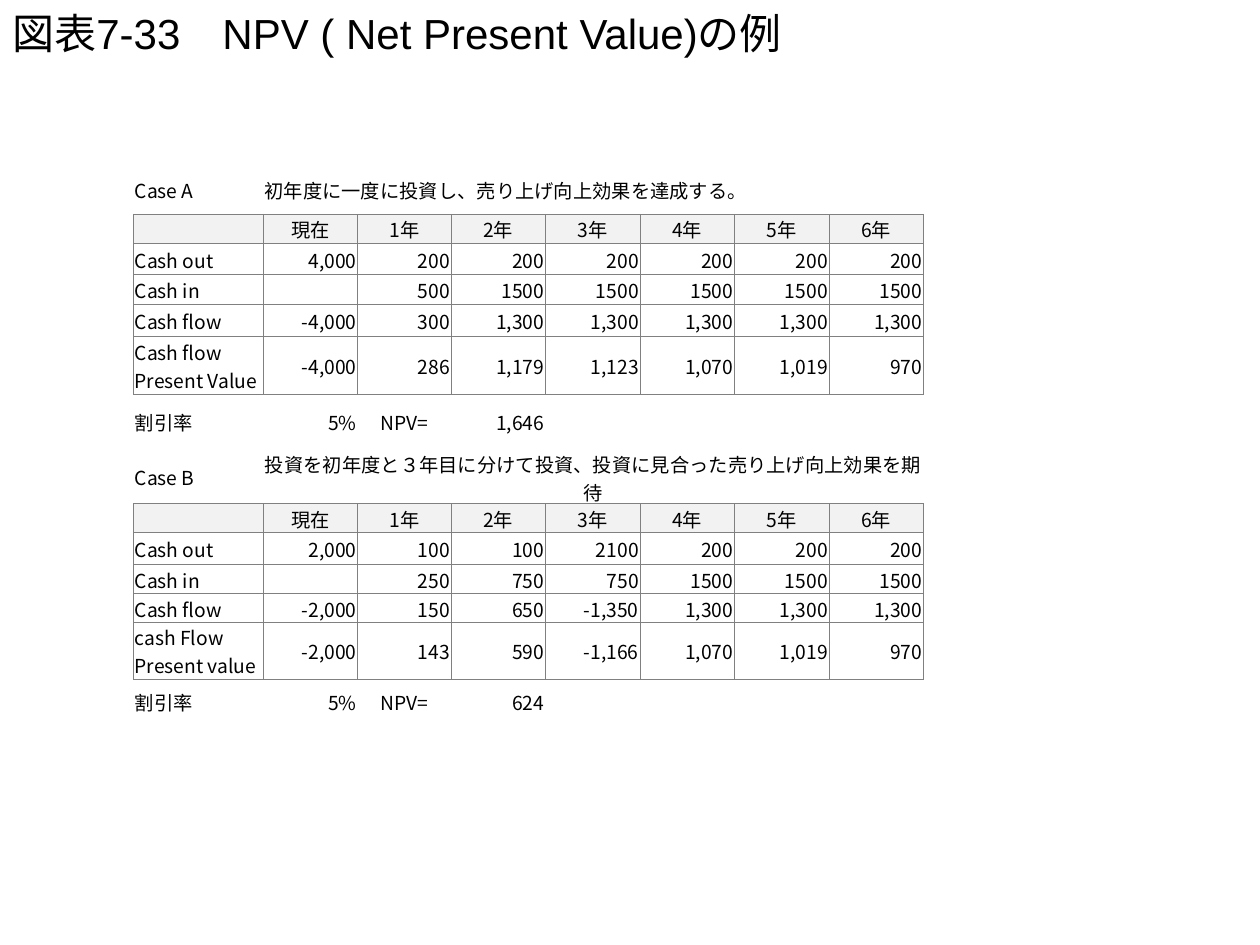
from dataclasses import dataclass

from lxml.etree import SubElement
from pptx import Presentation
from pptx.dml.color import RGBColor
from pptx.enum.text import MSO_ANCHOR as ANCHOR, PP_ALIGN as ALIGN
from pptx.oxml.ns import qn
from pptx.util import Inches, Pt

BLACK = RGBColor(0x00, 0x00, 0x00)
HEADER = RGBColor(0xF2, 0xF2, 0xF2)
GRID = RGBColor(0x80, 0x80, 0x80)
TITLE_FONT, TABLE_FONT = "Arial", "Noto Sans CJK JP"
NO_STYLE = "{2D5ABB26-0587-4C30-8999-92F81FD0307C}"
YEARS = ["", "現在"] + [f"{n}年" for n in range(1, 7)]
COL_WIDTHS = [1.03, 0.75, 0.74] + [0.75] * 5
ALL_SIDES = ("L", "R", "T", "B")


@dataclass(frozen=True)
class Case:
    name: str
    summary: str
    summary_align: ALIGN
    flows: list[list[str]]
    npv: str
    heights: list[float]


CASES = [
    Case("Case A", "初年度に一度に投資し、売り上げ向上効果を達成する。", ALIGN.LEFT, [
        ["Cash out", "4,000"] + ["200"] * 6,
        ["Cash in", "", "500"] + ["1500"] * 5,
        ["Cash flow", "-4,000", "300"] + ["1,300"] * 5,
        ["Cash flow\nPresent Value", "-4,000", "286", "1,179", "1,123", "1,070", "1,019", "970"],
    ], "1,646", [0.39, 0.23, 0.25, 0.24, 0.25, 0.46, 0.43]),
    Case("Case B", "投資を初年度と３年目に分けて投資、投資に見合った売り上げ向上効果を期待", ALIGN.CENTER, [
        ["Cash out", "2,000", "100", "100", "2100", "200", "200", "200"],
        ["Cash in", "", "250", "750", "750", "1500", "1500", "1500"],
        ["Cash flow", "-2,000", "150", "650", "-1,350", "1,300", "1,300", "1,300"],
        ["cash Flow\nPresent value", "-2,000", "143", "590", "-1,166", "1,070", "1,019", "970"],
    ], "624", [0.44, 0.23, 0.25, 0.23, 0.23, 0.45, 0.35]),
]


def write(tf, text: str, *, font: str, size: float, align: ALIGN = ALIGN.LEFT) -> None:
    p = tf.paragraphs[0]
    p.text = text
    p.alignment = align
    for r in p.runs:
        r.font.size, r.font.name = Pt(size), font
        r.font.color.rgb = BLACK
        SubElement(r.font._element, qn("a:ea"), typeface=font)
    for br in p._p.findall(qn("a:br")):
        SubElement(br, qn("a:rPr"), sz=str(int(size * 100)))
    SubElement(p._p, qn("a:endParaRPr"), sz=str(int(size * 100)))


def add_borders(cell, sides: tuple[str, ...]) -> None:
    tc_pr = cell._tc.get_or_add_tcPr()
    for i, side in enumerate(ALL_SIDES):
        shown = side in sides
        ln = tc_pr.makeelement(qn(f"a:ln{side}"), {"w": str(Pt(0.5) if shown else 0)})
        fill = SubElement(ln, qn("a:solidFill" if shown else "a:noFill"))
        if shown:
            SubElement(fill, qn("a:srgbClr"), val=str(GRID))
        tc_pr.insert(i, ln)


def fill_cell(cell, text: str, align: ALIGN, sides: tuple[str, ...], header: bool = False) -> None:
    cell.margin_left = cell.margin_right = cell.margin_top = Inches(0.01)
    cell.margin_bottom = 0
    cell.vertical_anchor = ANCHOR.MIDDLE
    write(cell.text_frame, text, font=TABLE_FONT, size=11, align=align)
    if header:
        cell.fill.solid()
        cell.fill.fore_color.rgb = HEADER
    else:
        cell.fill.background()
    add_borders(cell, sides)


def fill_case(table, top: int, case: Case) -> None:
    for i, height in enumerate(case.heights):
        table.rows[top + i].height = Inches(height)
    last = len(case.heights) - 1
    rows = [[case.name, case.summary], YEARS, *case.flows, ["割引率", "5%", "NPV=", case.npv]]
    for i, row in enumerate(rows):
        sides = {0: ("B",), last: ("T",)}.get(i, ALL_SIDES)
        for j in range(len(COL_WIDTHS)):
            text = row[j] if j < len(row) else ""
            if i == 1 or text == "NPV=":
                align = ALIGN.CENTER
            elif i == 0 and j:
                align = case.summary_align
            else:
                align = ALIGN.RIGHT if j else ALIGN.LEFT
            fill_cell(table.cell(top + i, j), text, align, sides, header=i == 1)
    table.cell(top, 1).merge(table.cell(top, len(COL_WIDTHS) - 1))


def add_title(s, text: str) -> None:
    tf = s.shapes.add_textbox(0, 0, Inches(10), Inches(0.52)).text_frame
    tf.word_wrap = True
    tf.vertical_anchor = ANCHOR.MIDDLE
    write(tf, text, font=TITLE_FONT, size=24)


def add_npv_table(s) -> None:
    row_count = sum(len(case.heights) for case in CASES)
    sp = s.shapes.add_table(row_count, len(COL_WIDTHS), Inches(1.06), Inches(1.31),
                            Inches(6.26), Inches(4.18))
    table = sp.table
    table.first_row = table.horz_banding = False
    table._tbl.tblPr.find(qn("a:tableStyleId")).text = NO_STYLE
    for column, width in zip(table.columns, COL_WIDTHS):
        column.width = Inches(width)
    top = 0
    for case in CASES:
        fill_case(table, top, case)
        top += len(case.heights)


def main() -> None:
    """Build the slide comparing the net present value of two investment cases."""
    prs = Presentation()
    prs.slide_width, prs.slide_height = Inches(10), Inches(7.5)
    s = prs.slides.add_slide(prs.slide_layouts[6])
    add_title(s, "図表7-33　NPV ( Net Present Value)の例")
    add_npv_table(s)
    prs.save("out.pptx")


if __name__ == "__main__":
    main()
